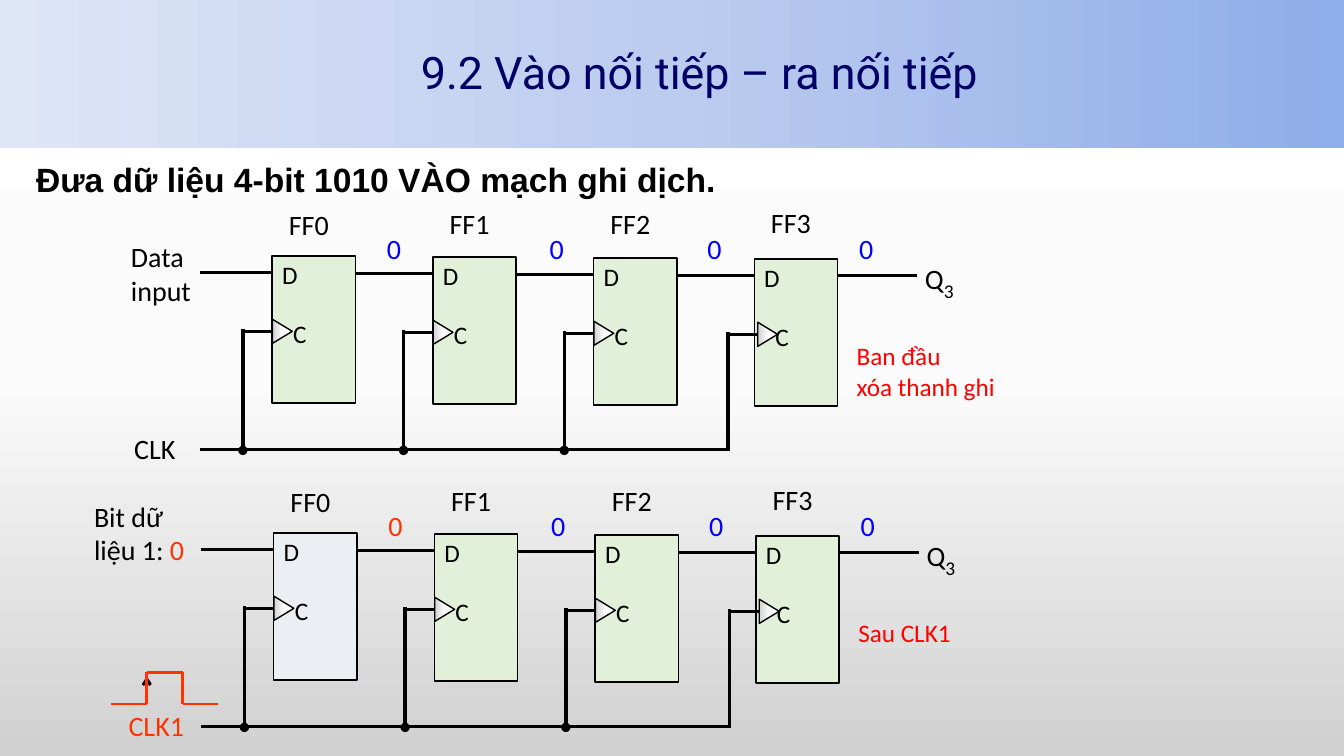
import dataclasses
import itertools

import pptx
import pptx.dml.color
import pptx.enum.shapes
import pptx.enum.text
import pptx.oxml
import pptx.oxml.ns
import pptx.util

Cm = pptx.util.Cm
Pt = pptx.util.Pt
SHAPE = pptx.enum.shapes.MSO_SHAPE
ANCHOR = pptx.enum.text.MSO_ANCHOR


@dataclasses.dataclass(frozen=True)
class Theme:
    """Colours, fonts and type sizes of the slide."""
    ink: str = "000000"
    title: str = "000066"
    old_bit: str = "0000FF"
    new_bit: str = "FF3300"
    note: str = "FF0000"
    cell: str = "E2F0D9"
    changed_cell: str = "EBEEF2"
    grey_shades: tuple = ("FFFFFF", "FBFBFB", "D1D1D1")
    banner_shades: tuple = ("8FADE9", "BCCCEF", "DEE6F7")
    title_font: str = "Roboto"
    lead_font: str = "Arial"
    label_font: str = "Calibri"
    title_size: int = 32
    lead_size: int = 24
    subscript_size: int = 24
    label_size: int = 20
    pin_size: int = 18


THEME = Theme()
PITCH = 4.05
DRIFT = 0.025
CELL_WIDTH, CELL_HEIGHT = 2.1, 3.71
CLOCK_SHIFTS = (0, 0, 0, 0.08)
BIT_OFFSETS = (2.64, 2.69, 2.62, 2.39)


def rgb(colour):
    """Turn a hex string into a colour value."""
    return pptx.dml.color.RGBColor.from_string(colour)


def apply_gradient(fill, element, shades, angle):
    """Fill with evenly spaced gradient stops."""
    fill.gradient()
    fill.gradient_angle = angle
    stops = next(element.iter(pptx.oxml.ns.qn("a:gsLst")))
    for stop in list(stops):
        stops.remove(stop)
    for index, shade in enumerate(shades):
        position = index * 100000 // (len(shades) - 1)
        stops.append(pptx.oxml.parse_xml(
            f'<a:gs {pptx.oxml.ns.nsdecls("a")} pos="{position}">'
            f'<a:srgbClr val="{shade}"/></a:gs>'))


def style_text(paragraph, font, size, colour, bold=False):
    """Set the font of a whole paragraph."""
    paragraph.font.name = font
    paragraph.font.size = Pt(size)
    paragraph.font.color.rgb = rgb(colour)
    paragraph.font.bold = bold


def write(slide, left, top, width, lines, size=THEME.label_size,
          colour=THEME.ink, font=THEME.label_font, bold=False, height=1.12):
    """Write lines of text and return their frame."""
    frame = slide.shapes.add_textbox(Cm(left), Cm(top), Cm(width), Cm(height)).text_frame
    frame.word_wrap = True
    frame.text = "\n".join(lines)
    for paragraph in frame.paragraphs:
        style_text(paragraph, font, size, colour, bold)
    return frame


def draw_shape(slide, kind, left, top, width, height, colour=None):
    """Draw a thinly outlined shape, filled if a colour is given."""
    shape = slide.shapes.add_shape(kind, Cm(left), Cm(top), Cm(width), Cm(height))
    shape.shadow.inherit = False
    shape.line.color.rgb = rgb(THEME.ink)
    shape.line.width = Pt(1)
    if colour:
        shape.fill.solid()
        shape.fill.fore_color.rgb = rgb(colour)
    return shape


def draw_wire(slide, start, end, weight=2, colour=THEME.ink, arrow=False):
    """Draw a straight wire between two points."""
    wire = slide.shapes.add_connector(
        pptx.enum.shapes.MSO_CONNECTOR.STRAIGHT, *map(Cm, (*start, *end)))
    wire.line.color.rgb = rgb(colour)
    wire.line.width = Pt(weight)
    namespace = pptx.oxml.ns.nsdecls("a")
    if arrow:
        wire.line._get_or_add_ln().append(
            pptx.oxml.parse_xml(f'<a:tailEnd {namespace} type="arrow"/>'))
    wire.element.spPr.append(pptx.oxml.parse_xml(f"<a:effectLst {namespace}/>"))


def draw_flip_flop(slide, left, top, clock_shift, bus, colour):
    """Draw a flip-flop and its clock branch, returning the branch position."""
    cell = draw_shape(slide, SHAPE.RECTANGLE, left, top, CELL_WIDTH, CELL_HEIGHT, colour)
    pins = cell.text_frame
    pins.vertical_anchor = ANCHOR.TOP
    pins.margin_top = Cm(0.08)
    pins.text = "D\nC"
    for pin in pins.paragraphs:
        pin.alignment = pptx.enum.text.PP_ALIGN.LEFT
        style_text(pin, THEME.label_font, THEME.pin_size, THEME.ink)
    clock_pin = pins.paragraphs[1]
    clock_pin.space_before = Pt(21)
    clock_pin._p.get_or_add_pPr().set("marL", str(Cm(0.28)))

    clock_left, clock_y = left + clock_shift, top + 1.9
    edge_mark = draw_shape(slide, SHAPE.ISOSCELES_TRIANGLE,
                           clock_left - 0.05, clock_y - 0.25, 0.61, 0.5)
    edge_mark.rotation = 90
    apply_gradient(edge_mark.fill, edge_mark.element, THEME.grey_shades, 270)
    branch = clock_left - 0.74
    draw_wire(slide, (clock_left, clock_y), (branch - 0.03, clock_y))
    draw_wire(slide, (branch, clock_y - 0.05), (branch, bus), 2.5)
    return branch


def draw_register(slide, left, top, cell_colours, bit_colours, note):
    """Draw a four-stage shift register from the start of its input wire."""
    bus = top + 6.27
    wire_start = left
    branches = []
    stages = zip(cell_colours, bit_colours, CLOCK_SHIFTS, BIT_OFFSETS)
    for stage, (cell_colour, bit_colour, shift, bit_offset) in enumerate(stages):
        cell_left = left + 1.83 + stage * PITCH
        cell_top = top + 1.39 + stage * DRIFT
        data_y = cell_top + 0.41
        branches.append(draw_flip_flop(slide, cell_left, cell_top, shift, bus, cell_colour))
        draw_wire(slide, (wire_start, data_y), (cell_left, data_y))
        wire_start = cell_left + CELL_WIDTH
        write(slide, cell_left + 0.17, top + 0.05 - stage * 0.02, 1.8, [f"FF{stage}"])
        write(slide, cell_left + bit_offset, top + 0.65, 1.63, ["0"], colour=bit_colour)
    draw_wire(slide, (wire_start, data_y), (wire_start + 2, data_y))
    draw_wire(slide, (left, bus), (branches[-1] + 0.04, bus), 2.5)
    for branch in branches[:-1]:
        draw_shape(slide, SHAPE.OVAL, branch - 0.1, bus - 0.08, 0.2, 0.2, THEME.ink)

    output = write(slide, left + 18.03, top + 1.27, 1.9, ["Q"]).paragraphs[0]
    index = output.add_run()
    index.text = "3"
    index.font.size = Pt(THEME.subscript_size)
    index.font._element.set("baseline", "-25000")
    write(slide, left + 16.31, top + 3.4, 4.8, note, THEME.pin_size, THEME.note)


def draw_initial_state(slide, left, top):
    """Draw the cleared register with its input labels."""
    draw_register(slide, left, top, [THEME.cell] * 4, [THEME.old_bit] * 4,
                  ["Ban đầu", "xóa thanh ghi"])
    write(slide, left - 1.98, top + 0.86, 2.3, ["Data", "input"])
    write(slide, left - 1.9, top + 5.69, 2.1, ["CLK"])


def draw_after_first_clock(slide, left, top):
    """Draw the register after the first clock pulse."""
    draw_register(slide, left, top, [THEME.changed_cell] + [THEME.cell] * 3,
                  [THEME.new_bit] + [THEME.old_bit] * 3, ["Sau CLK1"])
    data_label = write(slide, left - 2.95, top + 0.41, 3.2, ["Bit dữ", "liệu 1: "])
    data_bit = data_label.paragraphs[1].add_run()
    data_bit.text = "0"
    data_bit.font.color.rgb = rgb(THEME.new_bit)
    write(slide, left - 2.08, top + 5.69, 2.4, ["CLK1"], colour=THEME.new_bit)
    draw_pulse(slide, left - 2.27, top + 4.9, 2.7, 0.8)


def draw_pulse(slide, left, top, width, height):
    """Draw a clock pulse with an arrow on its rising edge."""
    step = width / 3
    rise = left + step
    draw_wire(slide, (rise, top + height - 0.1), (rise, top + 0.1), arrow=True)
    levels = ((0, 1), (1, 1), (1, 0), (2, 0), (2, 1), (3, 1))
    corners = [(left + x * step, top + y * height) for x, y in levels]
    for start, end in itertools.pairwise(corners):
        draw_wire(slide, start, end, colour=THEME.new_bit)


def draw_heading(slide, width, height):
    """Draw the title banner and the lead sentence under it."""
    banner = draw_shape(slide, SHAPE.RECTANGLE, 0, 0, width, height)
    banner.line.fill.background()
    apply_gradient(banner.fill, banner.element, THEME.banner_shades, 180)
    title = write(slide, 10.36, 0.05, 22.66, ["9.2 Vào nối tiếp – ra nối tiếp"],
                  THEME.title_size, THEME.title, THEME.title_font, height=height - 0.05)
    title.vertical_anchor = ANCHOR.MIDDLE
    lead = write(slide, 0.66, height + 0.26, 22.86,
                 ["Đưa dữ liệu 4-bit 1010 VÀO mạch ghi dịch."],
                 THEME.lead_size, font=THEME.lead_font, bold=True)
    for frame in (title, lead):
        frame.paragraphs[0].line_spacing = 0.9


def main():
    """Build the slide and save it."""
    deck = pptx.Presentation()
    deck.slide_width, deck.slide_height = Cm(33.87), Cm(19.05)
    slide = deck.slides.add_slide(deck.slide_layouts[6])
    apply_gradient(slide.background.fill, slide.element, THEME.grey_shades, 270)
    draw_heading(slide, 33.87, 3.73)
    draw_initial_state(slide, 5.03, 5.06)
    draw_after_first_clock(slide, 5.07, 12.04)
    deck.save("out.pptx")


if __name__ == "__main__":
    main()
